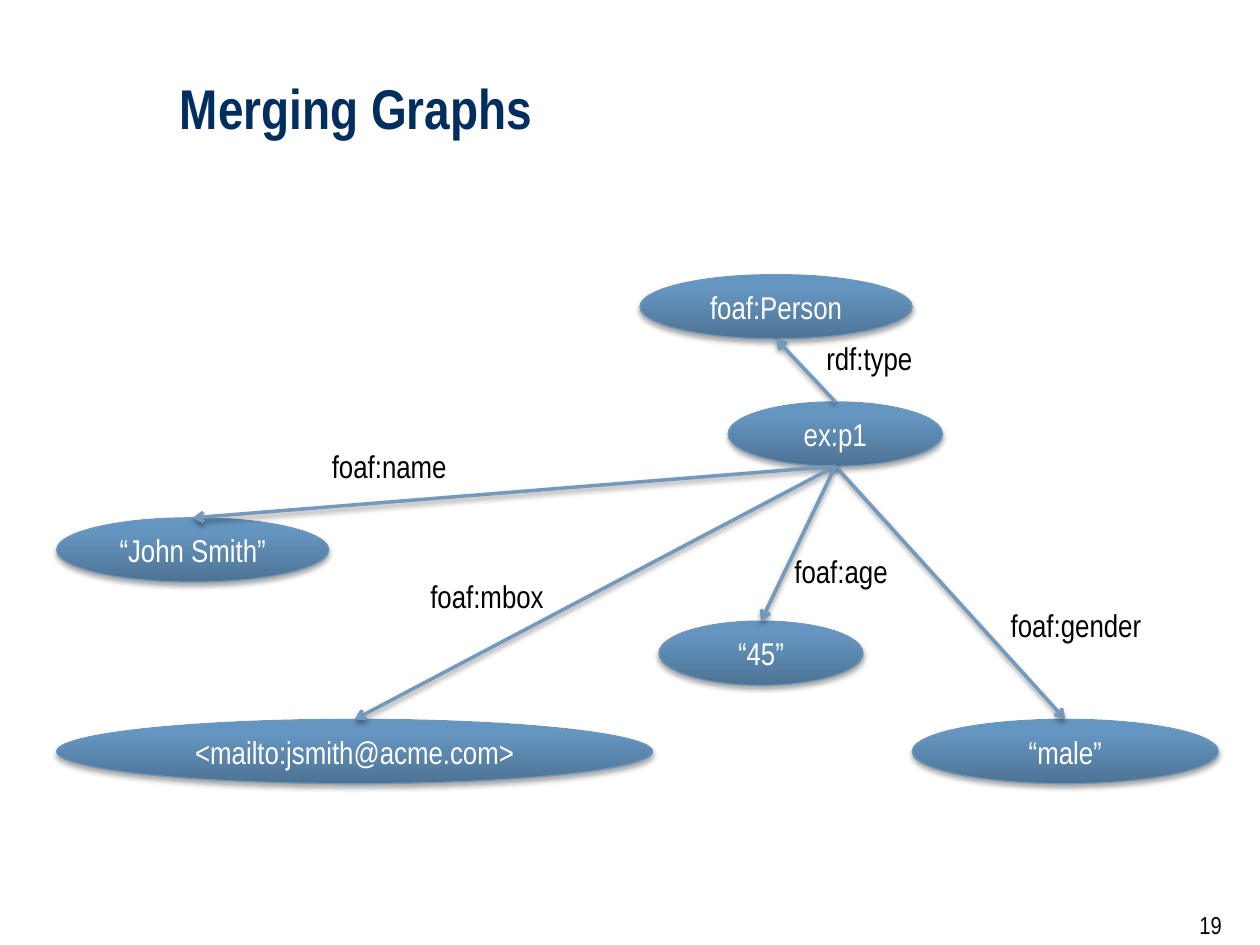
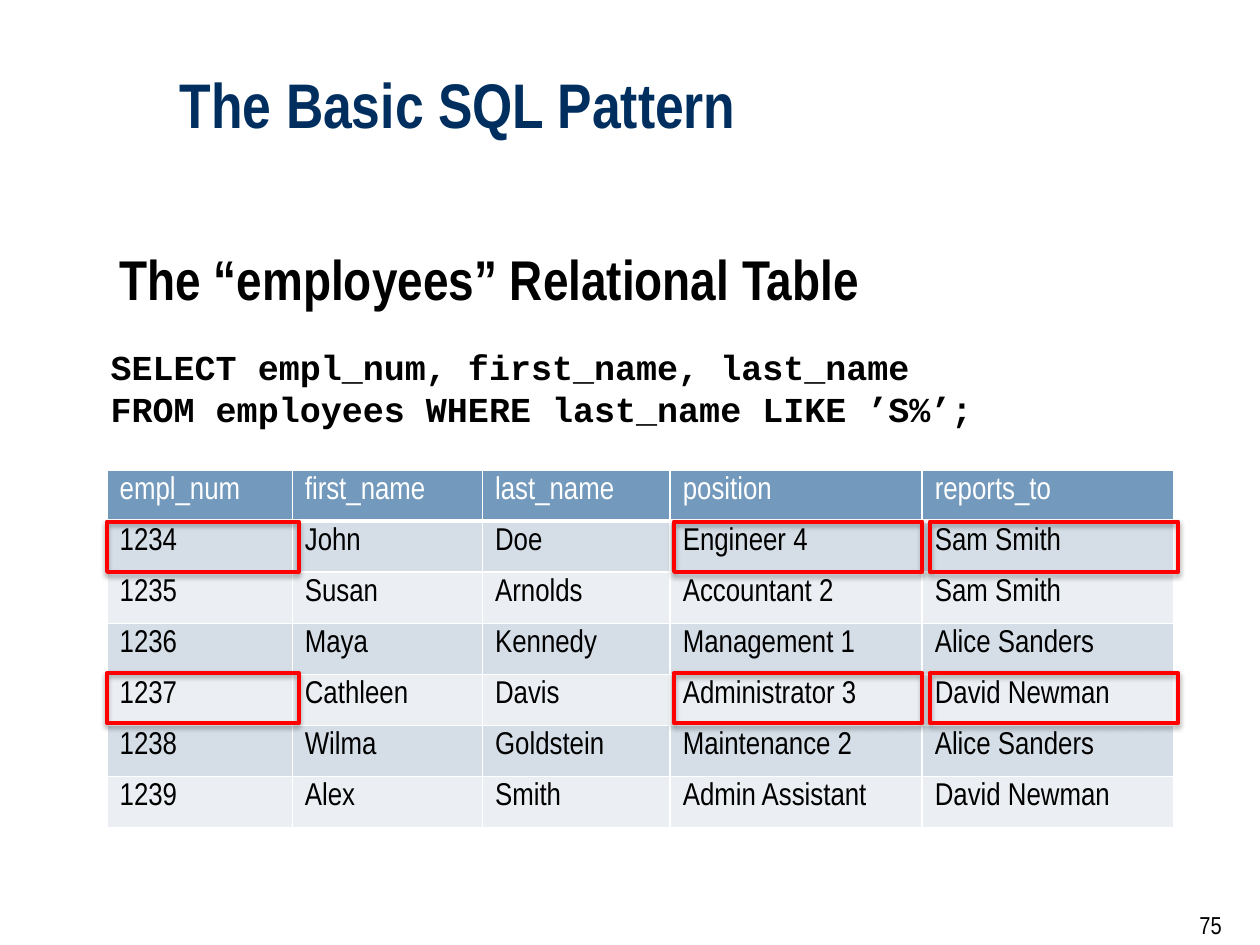
"""Build two slides: an RDF graph and a SQL selection over a relational table."""
from dataclasses import dataclass
from itertools import product

from lxml.etree import SubElement
from copy import deepcopy
from pptx import Presentation
from pptx.dml.color import RGBColor
from pptx.enum.shapes import MSO_CONNECTOR, MSO_SHAPE
from pptx.enum.text import MSO_ANCHOR, PP_ALIGN
from pptx.oxml.ns import qn
from pptx.util import Emu, Inches, Pt

WIDTH, HEIGHT = Inches(10), Inches(7.5)
COLUMNS, ROWS = 100, 75

NAVY = RGBColor(0x00, 0x2F, 0x5F)
BLACK = RGBColor(0x00, 0x00, 0x00)
WHITE = RGBColor(0xFF, 0xFF, 0xFF)
RED = RGBColor(0xFF, 0x00, 0x00)
STEEL = RGBColor(0x73, 0x9A, 0xBC)
NODE_EDGE = RGBColor(0x6F, 0x97, 0xBA)
BAND_DARK = RGBColor(0xD5, 0xDE, 0xE7)
BAND_LIGHT = RGBColor(0xEB, 0xEF, 0xF3)
NODE_STOPS = (
    (0, RGBColor(0x4E, 0x73, 0x94)),
    (0.8, RGBColor(0x65, 0x96, 0xC1)),
    (1, RGBColor(0x64, 0x97, 0xC3)),
)

BODY = {"name": "Arial Narrow", "size": Pt(18), "bold": False}
FOOTER = BODY | {"size": Pt(14)}
HEADING = BODY | {"size": Pt(32), "bold": True}
CODE = {"name": "Courier New", "size": Pt(20), "bold": True}


def across(columns: float) -> Emu:
    """Convert grid columns to a length."""
    return Emu(round(WIDTH * columns / COLUMNS))


def down(rows: float) -> Emu:
    """Convert grid rows to a length."""
    return Emu(round(HEIGHT * rows / ROWS))


@dataclass(frozen=True)
class Box:
    """Area in grid columns and rows."""
    left: float
    top: float
    width: float
    height: float

    def lengths(self) -> tuple:
        """Return left, top, width and height as lengths."""
        return across(self.left), down(self.top), across(self.width), down(self.height)

    def top_middle(self) -> tuple:
        """Return the middle of the top edge."""
        return across(self.left + self.width / 2), down(self.top)

    def bottom_middle(self) -> tuple:
        """Return the middle of the bottom edge."""
        return across(self.left + self.width / 2), down(self.top + self.height)


@dataclass(frozen=True)
class Node:
    """Labelled ellipse of the graph."""
    text: str
    box: Box


@dataclass(frozen=True)
class Edge:
    """Labelled arrow from the subject to a node."""
    text: str
    target: str
    label: Box
    upward: bool = False


TITLE_BOX = Box(13.3, 2.2, 81.7, 9.5)
NUMBER_BOX = Box(94.2, 71.7, 4.2, 3.4)
NODE_HEIGHT, LABEL_HEIGHT = 5.1, 4

SUBJECT = Node("ex:p1", Box(57.8, 31.9, 17, NODE_HEIGHT))
OBJECTS = {
    "name": Node("“John Smith”", Box(4.5, 41.1, 21.6, NODE_HEIGHT)),
    "mbox": Node("<mailto:jsmith@acme.com>", Box(4.5, 57.1, 47.3, NODE_HEIGHT)),
    "type": Node("foaf:Person", Box(50.8, 21.8, 21.6, NODE_HEIGHT)),
    "gender": Node("“male”", Box(72.4, 57.1, 24.3, NODE_HEIGHT)),
    "age": Node("“45”", Box(52.3, 49.3, 16.2, NODE_HEIGHT)),
}
EDGES = (
    Edge("foaf:name", "name", Box(24.6, 35, 12.6, LABEL_HEIGHT)),
    Edge("foaf:mbox", "mbox", Box(31.4, 45.3, 14.5, LABEL_HEIGHT)),
    Edge("rdf:type", "type", Box(63.2, 26.4, 11.6, LABEL_HEIGHT), upward=True),
    Edge("foaf:gender", "gender", Box(77.1, 47.6, 16.6, LABEL_HEIGHT)),
    Edge("foaf:age", "age", Box(59.5, 43.3, 14.5, LABEL_HEIGHT)),
)

EMPLOYEES = (
    ("empl_num", "first_name", "last_name", "position", "reports_to"),
    ("1234", "John", "Doe", "Engineer 4", "Sam Smith"),
    ("1235", "Susan", "Arnolds", "Accountant 2", "Sam Smith"),
    ("1236", "Maya", "Kennedy", "Management 1", "Alice Sanders"),
    ("1237", "Cathleen", "Davis", "Administrator 3", "David Newman"),
    ("1238", "Wilma", "Goldstein", "Maintenance 2", "Alice Sanders"),
    ("1239", "Alex", "Smith", "Admin Assistant", "David Newman"),
)
TABLE_BOX = Box(8.5, 37.3, 84.7, 28.4)
TABLE_COLUMNS = (14.7, 15.1, 14.9, 20, 20)
HIGHLIGHT_SPANS = ((8.5, 15.2), (53.5, 19.7), (73.8, 19.7))
HIGHLIGHT_TOPS = (41.4, 53.4)
QUERY = "SELECT empl_num, first_name, last_name\vFROM employees WHERE last_name LIKE ’S%’;"


def write(tf, text: str, form: dict, color: RGBColor, align=None):
    """Fill a text frame with one formatted paragraph."""
    p = tf.paragraphs[0]
    p.text = text
    p.alignment = align
    for r in p.runs:
        for key, value in form.items():
            setattr(r.font, key, value)
        r.font.color.rgb = color
    return p


def add_text(slide, box: Box, text: str, form: dict, color: RGBColor = BLACK,
             align=None, wrap: bool = True):
    """Add a text box and return its shape."""
    sp = slide.shapes.add_textbox(*box.lengths())
    sp.text_frame.word_wrap = wrap
    write(sp.text_frame, text, form, color, align)
    return sp


def add_shadow(sp, alpha: int, distance: float) -> None:
    """Give a shape or connector a soft shadow below it."""
    effects = SubElement(sp._element.spPr, qn("a:effectLst"))
    shadow = SubElement(effects, qn("a:outerShdw"), blurRad=str(Pt(3.1)),
                        dist=str(Pt(distance)), dir="5400000", rotWithShape="0")
    color = SubElement(shadow, qn("a:srgbClr"), val=str(BLACK))
    SubElement(color, qn("a:alpha"), val=str(alpha * 1000))


def set_line(sp, color: RGBColor, width: float) -> None:
    """Set the outline colour and its width in points."""
    sp.line.color.rgb = color
    sp.line.width = Pt(width)


def add_node(slide, node: Node) -> None:
    """Draw an ellipse with a gradient and a centred label."""
    sp = slide.shapes.add_shape(MSO_SHAPE.OVAL, *node.box.lengths())
    sp.fill.gradient()
    sp.fill.gradient_angle = 90
    first = sp._element.spPr.find(qn("a:gradFill")).find(qn("a:gsLst"))[0]
    first.addnext(deepcopy(first))
    for stop, (position, color) in zip(sp.fill.gradient_stops, NODE_STOPS):
        stop.position = position
        stop.color.rgb = color
    set_line(sp, NODE_EDGE, 0.75)
    add_shadow(sp, 35, 1.8)
    sp.text_frame.word_wrap = True
    sp.text_frame.vertical_anchor = MSO_ANCHOR.MIDDLE
    write(sp.text_frame, node.text, BODY, WHITE, PP_ALIGN.CENTER)


def add_edge(slide, edge: Edge) -> None:
    """Draw an arrow from the subject to its object, with a label."""
    target = OBJECTS[edge.target].box
    if edge.upward:
        start, end = SUBJECT.box.top_middle(), target.bottom_middle()
    else:
        start, end = SUBJECT.box.bottom_middle(), target.top_middle()
    line = slide.shapes.add_connector(MSO_CONNECTOR.STRAIGHT, *start, *end)
    set_line(line, STEEL, 2)
    SubElement(line.line._get_or_add_ln(), qn("a:tailEnd"), type="arrow")
    add_shadow(line, 38, 1.6)
    add_text(slide, edge.label, edge.text, BODY, align=PP_ALIGN.CENTER)


def add_highlight(slide, box: Box) -> None:
    """Draw a red frame around a cell."""
    sp = slide.shapes.add_shape(MSO_SHAPE.RECTANGLE, *box.lengths())
    sp.fill.background()
    set_line(sp, RED, 2.25)
    add_shadow(sp, 35, 1.8)


def set_borders(cell, bottom: float) -> None:
    """Give a cell white borders with its own bottom width."""
    tc_pr = cell._tc.get_or_add_tcPr()
    for side, width in {"L": 1, "R": 1, "T": 1, "B": bottom}.items():
        ln = SubElement(tc_pr, qn(f"a:ln{side}"), w=str(Pt(width)))
        fill = SubElement(ln, qn("a:solidFill"))
        SubElement(fill, qn("a:srgbClr"), val=str(WHITE))


def add_employees(slide) -> None:
    """Draw the banded employees table."""
    table = slide.shapes.add_table(len(EMPLOYEES), len(TABLE_COLUMNS),
                                   *TABLE_BOX.lengths()).table
    table.horz_banding = False
    for column, width in zip(table.columns, TABLE_COLUMNS):
        column.width = across(width)
    for i, record in enumerate(EMPLOYEES):
        table.rows[i].height = down(TABLE_BOX.height / len(EMPLOYEES))
        band = STEEL if i == 0 else BAND_DARK if i % 2 else BAND_LIGHT
        for j, value in enumerate(record):
            cell = table.cell(i, j)
            set_borders(cell, 1 if i else 3)
            cell.fill.solid()
            cell.fill.fore_color.rgb = band
            write(cell.text_frame, value, BODY, BLACK if i else WHITE)


def add_slide(prs, title: str, size: int, number: int):
    """Add a blank slide with the shared title and page number."""
    slide = prs.slides.add_slide(prs.slide_layouts[6])
    add_text(slide, NUMBER_BOX, str(number), FOOTER)
    tf = add_text(slide, TITLE_BOX, title, HEADING | {"size": Pt(size)}, NAVY).text_frame
    tf.vertical_anchor = MSO_ANCHOR.BOTTOM
    tf.paragraphs[0].line_spacing = 0.85
    return slide


def build_graph(prs) -> None:
    """Build the slide with the RDF graph."""
    slide = add_slide(prs, "Merging Graphs", 32, 19)
    for node in (SUBJECT, *OBJECTS.values()):
        add_node(slide, node)
    for edge in EDGES:
        add_edge(slide, edge)


def build_query(prs) -> None:
    """Build the slide with the query and the employees table."""
    slide = add_slide(prs, "The Basic SQL Pattern", 36, 75)
    add_employees(slide)
    for top, (left, width) in product(HIGHLIGHT_TOPS, HIGHLIGHT_SPANS):
        add_highlight(slide, Box(left, top, width, 4))
    add_text(slide, Box(8.5, 18.9, 64.5, 6.4), "The “employees” Relational Table",
             HEADING, wrap=False)
    add_text(slide, Box(7.8, 26.9, 71, 7.7), QUERY, CODE, wrap=False)


def main() -> None:
    """Build and save the presentation."""
    prs = Presentation()
    prs.slide_width, prs.slide_height = WIDTH, HEIGHT
    build_graph(prs)
    build_query(prs)
    prs.save("out.pptx")


if __name__ == "__main__":
    main()
